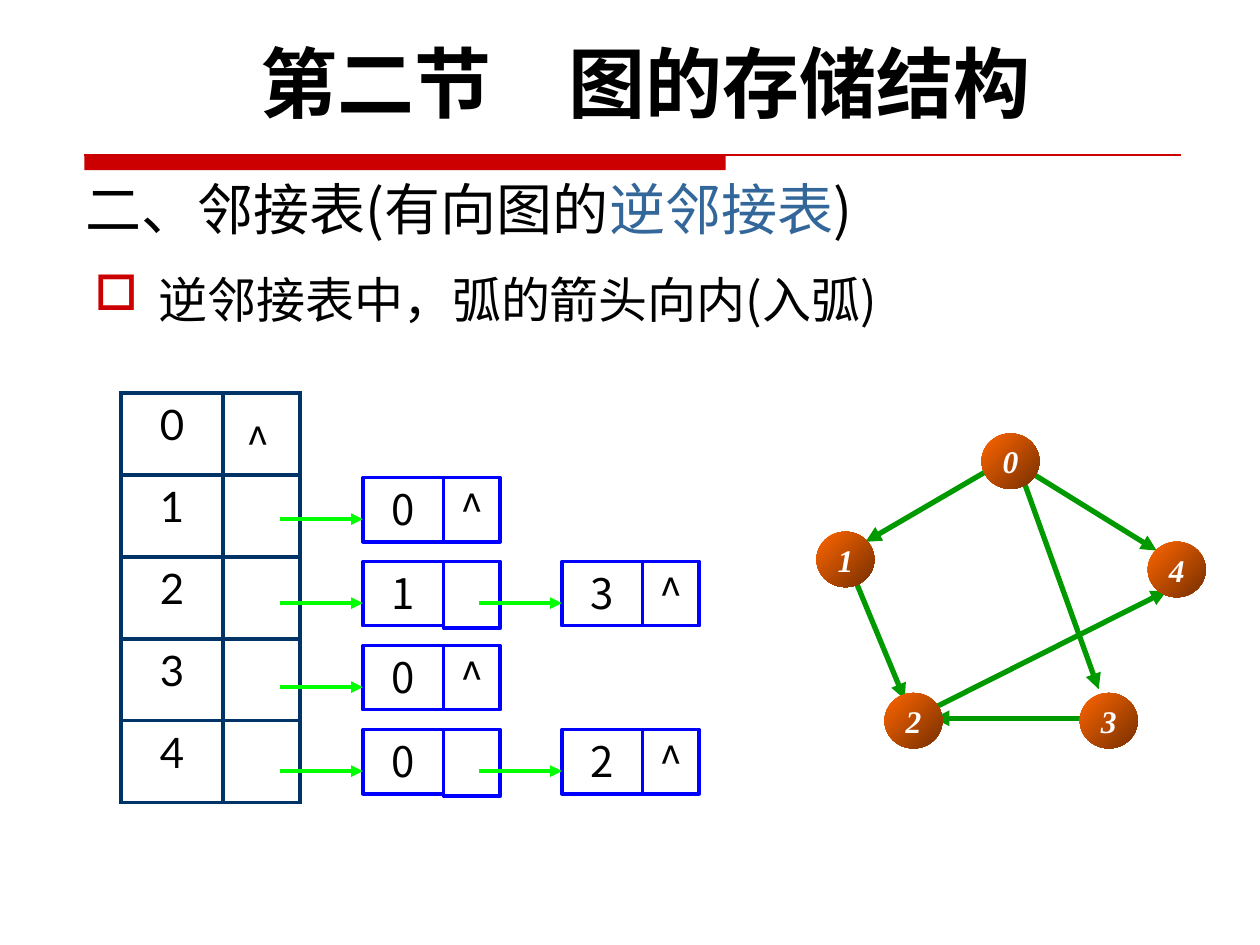
"""Build the slide on the inverse adjacency list of a directed graph."""
from dataclasses import dataclass

from lxml import etree
from pptx import Presentation
from pptx import util as u
from pptx.dml.color import RGBColor
from pptx.enum import shapes, text
from pptx.oxml import ns

SANS, TITLE, SERIF = "Noto Sans CJK SC", "Lato", "Times New Roman"
BLACK, WHITE, RED, BLUE = "000000", "FFFFFF", "CC0000", "336699"
NAVY, BOX_BLUE, POINTER, ARC = "003366", "0000FF", "00FF00", "009900"
CENTER = text.PP_ALIGN.CENTER


@dataclass
class ListNode:
    row: int
    column: int
    vertex: str
    link: str


@dataclass
class Vertex:
    label: str
    left: float
    top: float


@dataclass
class Line:
    x1: float
    y1: float
    x2: float
    y2: float


LIST_NODES = [
    ListNode(1, 0, "0", "^"),
    ListNode(2, 0, "1", ""),
    ListNode(2, 1, "3", "^"),
    ListNode(3, 0, "0", "^"),
    ListNode(4, 0, "0", ""),
    ListNode(4, 1, "2", "^"),
]
VERTICES = [
    Vertex("1", 6.48, 4.22),
    Vertex("3", 8.57, 5.5),
    Vertex("2", 7.02, 5.5),
    Vertex("4", 9.11, 4.3),
    Vertex("0", 7.79, 3.44),
]
ARCS = [
    Line(8.18, 3.75, 9.18, 4.37),
    Line(6.79, 4.61, 7.18, 5.55),
    Line(7.95, 3.67, 6.87, 4.3),
    Line(8.1, 3.75, 8.72, 5.47),
    Line(8.57, 5.7, 7.41, 5.7),
    Line(7.41, 5.62, 9.26, 4.69),
]


def color(value: str) -> RGBColor:
    return RGBColor.from_string(value)


def add_run(paragraph, words: str, size: float, ink: str = BLACK,
            face: str = SANS, bold: bool = False, italic: bool = False) -> None:
    run = paragraph.add_run()
    run.text = words
    font = run.font
    font.size, font.name = u.Pt(size), face
    font.bold, font.italic = bold, italic
    font.color.rgb = color(ink)
    east_asian = etree.SubElement(run._r.get_or_add_rPr(), ns.qn("a:ea"))
    east_asian.set("typeface", SANS if face == TITLE else face)


def add_text_box(slide, left: float, top: float, width: float, height: float,
                 anchor=text.MSO_ANCHOR.TOP):
    frame = slide.shapes.add_textbox(
        u.Inches(left), u.Inches(top), u.Inches(width), u.Inches(height)).text_frame
    frame.word_wrap = True
    frame.vertical_anchor = anchor
    return frame.paragraphs[0]


def add_shape(slide, kind, left: float, top: float, width: float, height: float):
    shape = slide.shapes.add_shape(
        kind, u.Inches(left), u.Inches(top), u.Inches(width), u.Inches(height))
    shape.shadow.inherit = False
    return shape


def add_line(slide, line: Line, ink: str, width: float, arrow: bool = True) -> None:
    connector = slide.shapes.add_connector(
        shapes.MSO_CONNECTOR.STRAIGHT, u.Inches(line.x1), u.Inches(line.y1),
        u.Inches(line.x2), u.Inches(line.y2))
    connector.line.color.rgb = color(ink)
    connector.line.width = u.Pt(width)
    if arrow:
        tail = etree.SubElement(connector.line._get_or_add_ln(), ns.qn("a:tailEnd"))
        tail.set("type", "triangle")
    etree.SubElement(connector._element.spPr, ns.qn("a:effectLst"))


def add_bullet(paragraph, mark: str, ink: str, indent: float) -> None:
    properties = paragraph._p.get_or_add_pPr()
    properties.set("marL", str(u.Inches(indent)))
    properties.set("indent", str(-u.Inches(indent)))
    bullet_color = etree.SubElement(properties, ns.qn("a:buClr"))
    etree.SubElement(bullet_color, ns.qn("a:srgbClr")).set("val", ink)
    etree.SubElement(properties, ns.qn("a:buChar")).set("char", mark)


def add_headings(slide) -> None:
    banner = add_shape(slide, shapes.MSO_SHAPE.RECTANGLE, 0.67, 1.23, 5.09, 0.12)
    banner.fill.solid()
    banner.fill.fore_color.rgb = color(RED)
    banner.line.fill.background()
    add_line(slide, Line(0.67, 1.23, 9.37, 1.23), RED, 0.75, arrow=False)

    section = add_text_box(slide, 0.58, 1.33, 7.25, 0.64, text.MSO_ANCHOR.BOTTOM)
    for words, ink in (("二、邻接表(有向图的", BLACK), ("逆邻接表", BLUE), (")", BLACK)):
        add_run(section, words, 32, ink)

    title = add_text_box(slide, 0.5, 0.23, 9.25, 0.84)
    title.alignment = CENTER
    add_run(title, "第二节　图的存储结构", 44, face=TITLE, bold=True)

    point = add_text_box(slide, 0.65, 2.09, 9.58, 0.65)
    add_bullet(point, "□", RED, 0.51)
    add_run(point, "逆邻接表中，弧的箭头向内(入弧)", 28)


def add_border(cell, ink: str, width: float) -> None:
    properties = cell._tc.get_or_add_tcPr()
    for side in ("lnL", "lnR", "lnT", "lnB"):
        edge = etree.SubElement(properties, ns.qn(f"a:{side}"), w=str(u.Pt(width)))
        fill = etree.SubElement(edge, ns.qn("a:solidFill"))
        etree.SubElement(fill, ns.qn("a:srgbClr")).set("val", ink)


def add_head_table(slide) -> None:
    table = slide.shapes.add_table(
        5, 2, u.Inches(0.96), u.Inches(3.12), u.Inches(1.42), u.Inches(3.25)).table
    table.first_row = table.horz_banding = False
    for column, width in zip(table.columns, (0.81, 0.61)):
        column.width = u.Inches(width)
    for index, row in enumerate(table.rows):
        row.height = u.Inches(0.65)
        for cell in row.cells:
            add_border(cell, NAVY, 2.25)
            cell.fill.background()
        paragraph = row.cells[0].text_frame.paragraphs[0]
        paragraph.alignment = CENTER
        add_run(paragraph, str(index), 24, face=TITLE)


def add_node_box(slide, left: float, top: float, width: float, words: str) -> None:
    box = add_shape(slide, shapes.MSO_SHAPE.RECTANGLE, left, top, width,
                    0.51 if words else 0.53)
    box.fill.background()
    box.line.color.rgb = color(BOX_BLUE)
    box.line.width = u.Pt(2)
    if words:
        frame = box.text_frame
        frame.vertical_anchor = text.MSO_ANCHOR.TOP
        frame.paragraphs[0].alignment = CENTER
        add_run(frame.paragraphs[0], words, 24)


def add_list_node(slide, node: ListNode) -> None:
    left, top = 2.88 + 1.58 * node.column, 3.79 + (node.row - 1) * 2 / 3
    add_node_box(slide, left, top, 0.64, node.vertex)
    add_node_box(slide, left + 0.64, top, 0.45, node.link)
    add_line(slide, Line(left - 0.66, top + 0.33, left, top + 0.33), POINTER, 2.25)


def add_vertex(slide, vertex: Vertex) -> None:
    disc = add_shape(slide, shapes.MSO_SHAPE.OVAL, vertex.left, vertex.top, 0.46, 0.44)
    disc.line.fill.background()
    disc.fill.gradient()
    disc.fill.gradient_angle = 315
    for stop, position, ink in zip(disc.fill.gradient_stops, (0, 1), ("FF6600", "762F00")):
        stop.position = position
        stop.color.rgb = color(ink)
    frame = disc.text_frame
    frame.margin_left = frame.margin_right = 0
    frame.word_wrap = False
    frame.vertical_anchor = text.MSO_ANCHOR.MIDDLE
    frame.paragraphs[0].alignment = CENTER
    add_run(frame.paragraphs[0], vertex.label, 18, WHITE, SERIF, bold=True, italic=True)


def main() -> None:
    deck = Presentation()
    deck.slide_width, deck.slide_height = u.Inches(10), u.Inches(7.5)
    slide = deck.slides.add_slide(deck.slide_layouts[6])
    add_headings(slide)
    add_head_table(slide)
    for arc in ARCS:
        add_line(slide, arc, ARC, 3)
    for vertex in VERTICES:
        add_vertex(slide, vertex)
    for node in LIST_NODES:
        add_list_node(slide, node)
    empty_link = add_text_box(slide, -0.51, 3.26, 5.12, 0.5)
    empty_link.alignment = CENTER
    add_run(empty_link, "^", 24)
    deck.save("out.pptx")


if __name__ == "__main__":
    main()
